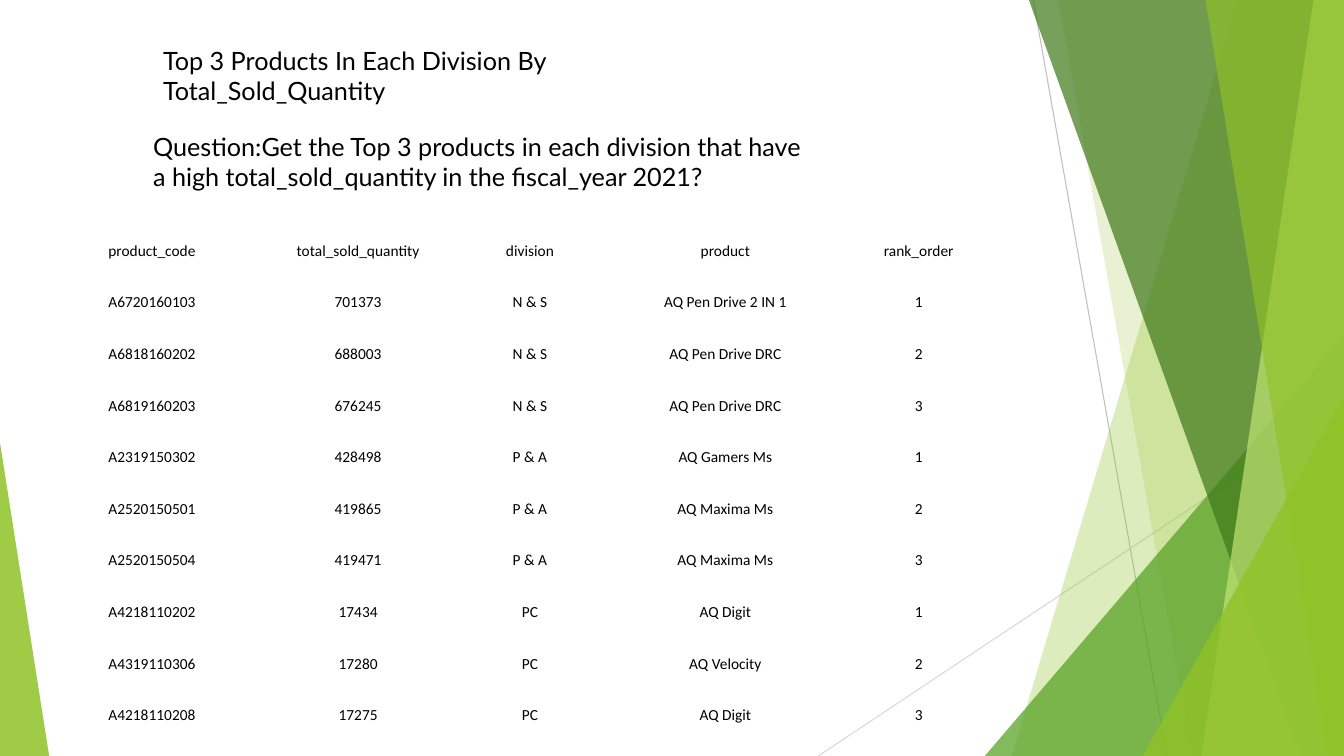
from dataclasses import dataclass

from lxml.etree import SubElement
from pptx import Presentation
from pptx.dml.color import RGBColor
from pptx.enum.shapes import MSO_CONNECTOR, MSO_SHAPE
from pptx.enum.text import MSO_ANCHOR, PP_ALIGN
from pptx.oxml.ns import qn
from pptx.util import Cm, Pt

WIDTH, HEIGHT = 33.87, 19.05
NO_STYLE = "{2D5ABB26-0587-4C30-8999-92F81FD0307C}"


@dataclass
class Ray:
    x1: float
    y1: float
    x2: float
    y2: float
    color: str


@dataclass
class Band:
    top_x: float
    bottom_x: float
    color: str
    alpha: int


@dataclass
class Triangle:
    left: float
    top: float
    width: float
    apex: float
    color: str
    alpha: int


@dataclass
class Note:
    left: float
    top: float
    width: float
    text: str


@dataclass
class Product:
    code: str
    quantity: int
    name: str


RAYS = [
    Ray(26.04, 0, 29.41, HEIGHT, "BFBFBF"),
    Ray(WIDTH, 10.24, 20.62, HEIGHT, "D9D9D9"),
]
FACETS = [
    Band(31.19, 25.5, "90C226", 30),
    Band(26.67, 30.05, "90C226", 20),
    Triangle(24.82, 8.46, 9.05, 1, "54A021", 72),
    Band(25.93, 32.79, "3F7819", 70),
    Band(33.1, 30.28, "C0E474", 70),
    Band(30.38, 33.48, "90C226", 65),
    Triangle(28.8, 9.98, 5.07, 1, "90C226", 80),
    Triangle(0, 11.15, 1.24, 0, "90C226", 85),
]
NOTES = [
    Note(3.86, 1.02, 15.19, "Top 3 Products In Each Division By Total_Sold_Quantity"),
    Note(3.61, 3.18, 17.27, "Question:Get the Top 3 products in each division that have "
                            "a high total_sold_quantity in the fiscal_year 2021?"),
]
COLUMNS = {
    "product_code": 5.84,
    "total_sold_quantity": 4.55,
    "division": 4.11,
    "product": 5.74,
    "rank_order": 4.01,
}
DIVISIONS = {
    "N & S": [
        Product("A6720160103", 701373, "AQ Pen Drive 2 IN 1"),
        Product("A6818160202", 688003, "AQ Pen Drive DRC"),
        Product("A6819160203", 676245, "AQ Pen Drive DRC"),
    ],
    "P & A": [
        Product("A2319150302", 428498, "AQ Gamers Ms"),
        Product("A2520150501", 419865, "AQ Maxima Ms"),
        Product("A2520150504", 419471, "AQ Maxima Ms"),
    ],
    "PC": [
        Product("A4218110202", 17434, "AQ Digit"),
        Product("A4319110306", 17280, "AQ Velocity"),
        Product("A4218110208", 17275, "AQ Digit"),
    ],
}


def rgb(color: str) -> RGBColor:
    return RGBColor.from_string(color)


def add_run(p, text: str, size: float, font: str) -> None:
    r = p.add_run()
    r.text = text
    r.font.size = Pt(size)
    r.font.name = font
    r.font.color.rgb = rgb("000000")


def add_ray(s, ray: Ray) -> None:
    sp = s.shapes.add_connector(MSO_CONNECTOR.STRAIGHT, Cm(ray.x1), Cm(ray.y1),
                                Cm(ray.x2), Cm(ray.y2))
    sp.line.color.rgb = rgb(ray.color)
    sp.line.width = Pt(0.75)
    SubElement(sp.element.spPr, qn("a:effectLst"))


def add_facet(s, facet: Band | Triangle) -> None:
    if isinstance(facet, Band):
        outline = s.shapes.build_freeform(Cm(facet.top_x), Cm(0))
        corners = [(WIDTH, 0), (WIDTH, HEIGHT), (facet.bottom_x, HEIGHT)]
        outline.add_line_segments([(Cm(x), Cm(y)) for x, y in corners], close=True)
        sp = outline.convert_to_shape()
    else:
        sp = s.shapes.add_shape(MSO_SHAPE.ISOSCELES_TRIANGLE, Cm(facet.left), Cm(facet.top),
                                Cm(facet.width), Cm(HEIGHT - facet.top))
        sp.adjustments[0] = facet.apex
    sp.shadow.inherit = False
    sp.line.fill.background()
    sp.fill.solid()
    sp.fill.fore_color.rgb = rgb(facet.color)
    fill = sp.element.spPr.find(qn("a:solidFill"))
    SubElement(fill[0], qn("a:alpha"), val=str(facet.alpha * 1000))


def add_note(s, note: Note) -> None:
    sp = s.shapes.add_textbox(Cm(note.left), Cm(note.top), Cm(note.width), Cm(1.8))
    tf = sp.text_frame
    tf.word_wrap = True
    add_run(tf.paragraphs[0], note.text, 18, "Lato")


def add_ranking(s, rows: list[list[str]]) -> None:
    row_height = 1.3
    frame = s.shapes.add_table(len(rows), len(COLUMNS), Cm(0.91), Cm(5.66),
                               Cm(sum(COLUMNS.values())), Cm(row_height * len(rows)))
    table = frame.table
    table.first_row = table.horz_banding = False
    next(frame.element.iter(qn("a:tableStyleId"))).text = NO_STYLE
    for column, width in zip(table.columns, COLUMNS.values()):
        column.width = Cm(width)
    for row, values in zip(table.rows, rows):
        row.height = Cm(row_height)
        for cell, value in zip(row.cells, values):
            cell.fill.background()
            cell.vertical_anchor = MSO_ANCHOR.MIDDLE
            cell.margin_left = cell.margin_top = cell.margin_right = Cm(0.03)
            cell.margin_bottom = Cm(0)
            p = cell.text_frame.paragraphs[0]
            p.alignment = PP_ALIGN.CENTER
            add_run(p, value, 11, "Calibri")


def main() -> None:
    prs = Presentation()
    prs.slide_width, prs.slide_height = Cm(WIDTH), Cm(HEIGHT)
    s = prs.slides.add_slide(prs.slide_layouts[6])
    for ray in RAYS:
        add_ray(s, ray)
    for facet in FACETS:
        add_facet(s, facet)
    for note in NOTES:
        add_note(s, note)
    rows = [list(COLUMNS)]
    for division, products in DIVISIONS.items():
        for rank, product in enumerate(products, 1):
            rows.append([product.code, str(product.quantity), division, product.name, str(rank)])
    add_ranking(s, rows)
    prs.save("out.pptx")


if __name__ == "__main__":
    main()
